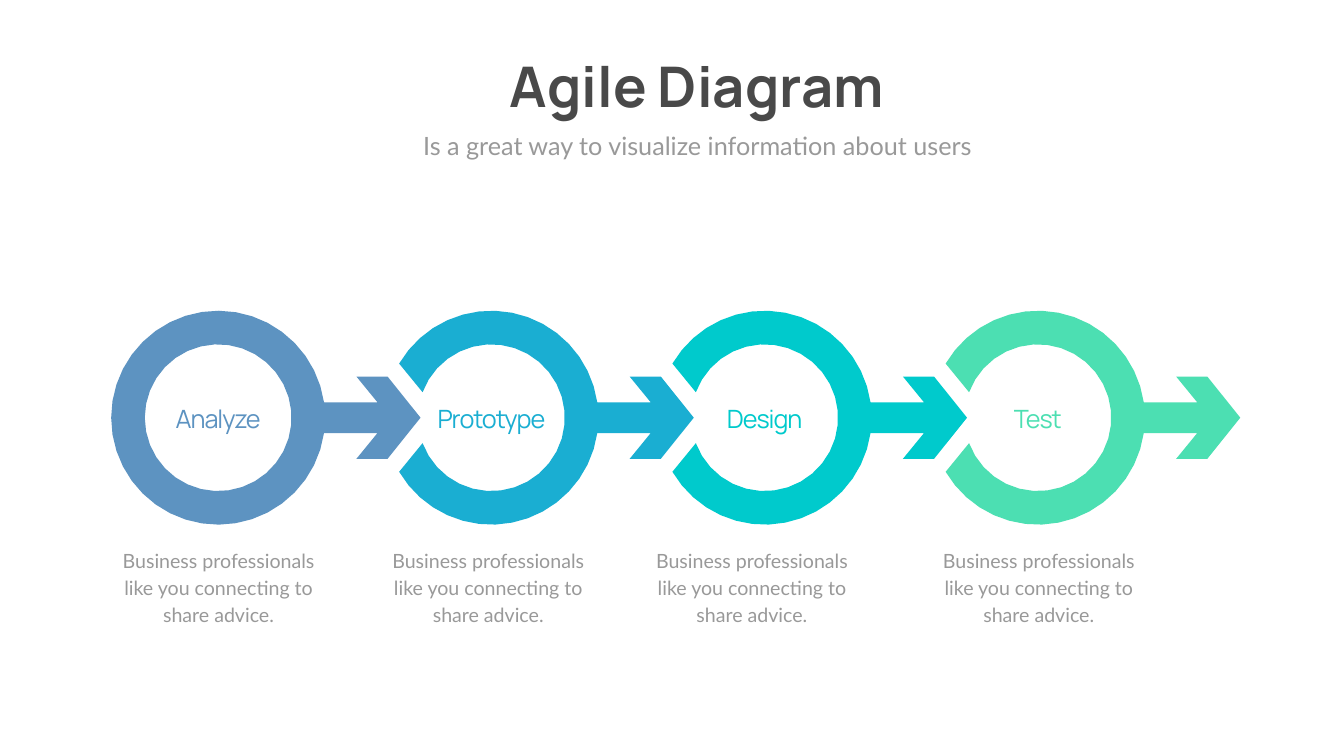
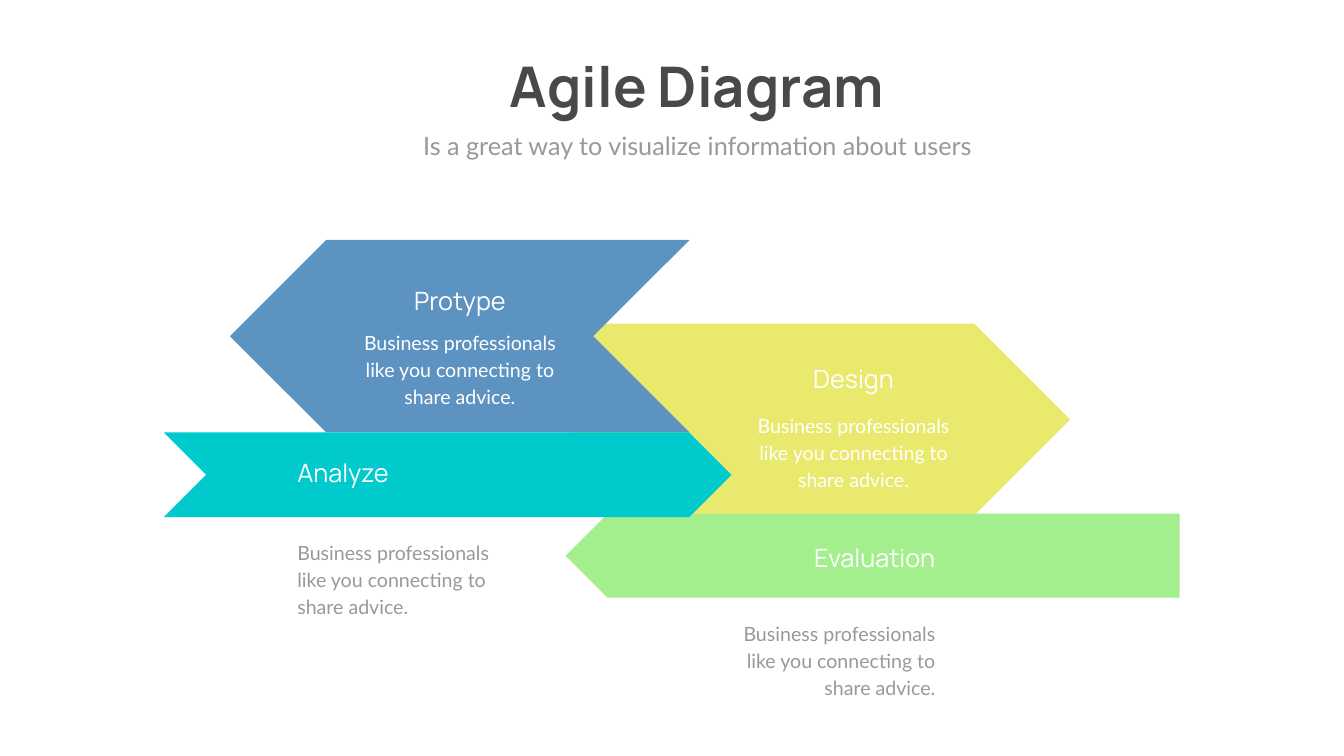
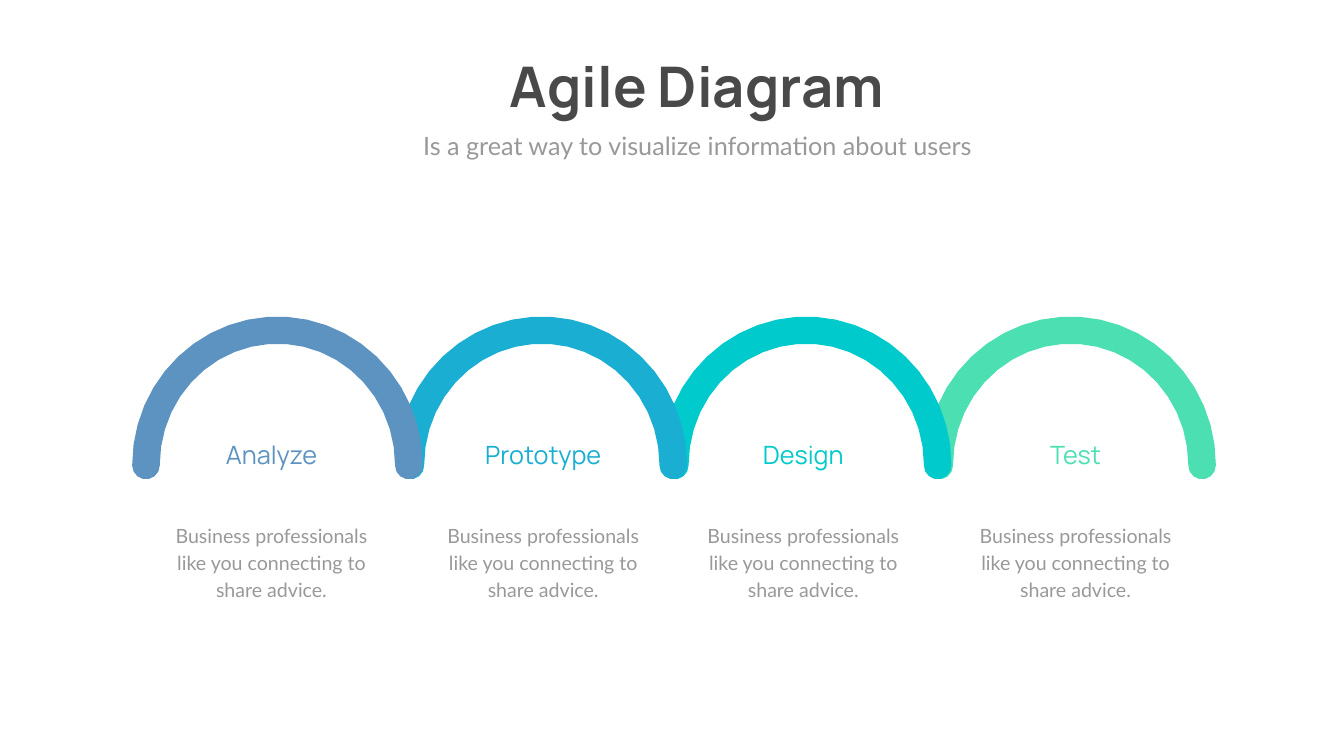
from math import acos, asin, ceil, cos, degrees, radians, sin

from pptx import Presentation
from pptx.dml.color import RGBColor
from pptx.enum.shapes import MSO_SHAPE
from pptx.enum.text import MSO_ANCHOR, MSO_AUTO_SIZE, PP_ALIGN
from pptx.util import Pt

BLUE = RGBColor(0x5D, 0x93, 0xC1)
SKY = RGBColor(0x1A, 0xAE, 0xD2)
TEAL = RGBColor(0x00, 0xCA, 0xCC)
MINT = RGBColor(0x4C, 0xDF, 0xB2)
YELLOW = RGBColor(0xE8, 0xE9, 0x6D)
GREEN = RGBColor(0xA4, 0xEF, 0x8D)
DARK = RGBColor(0x49, 0x49, 0x49)
GREY = RGBColor(0x99, 0x99, 0x99)
WHITE = RGBColor(0xFF, 0xFF, 0xFF)
HEADING_FONT, BODY_FONT = "Manrope", "Lato"
LEFT, CENTER, RIGHT = PP_ALIGN.LEFT, PP_ALIGN.CENTER, PP_ALIGN.RIGHT

TITLE = "Agile Diagram"
SUBTITLE = "Is a great way to visualize information about users"
CAPTION = "Business professionals like you connecting to share advice."
STEPS = [("Analyze", BLUE), ("Prototype", SKY), ("Design", TEAL), ("Test", MINT)]

# Middle of each step's text, from left to right
RING_CAPTIONS = [312.1, 697.3, 1073.9, 1483.6]
ARCH_CAPTIONS = [387.7, 775.8, 1147.3, 1536.1]

# Preset, left, top, width, height, rotation, colour; from back to front
BANDS = [
    (MSO_SHAPE.PENTAGON, 817.9, 462.2, 710.6, 274.3, 0, YELLOW),
    (MSO_SHAPE.CHEVRON, 328.3, 342.7, 656.6, 275, 180, BLUE),
    (MSO_SHAPE.PENTAGON, 807.8, 733.7, 877, 120.2, 180, GREEN),
    (MSO_SHAPE.CHEVRON, 234, 617.8, 810.7, 121, 0, TEAL),
]
# Heading, alignment, anchor x, heading top, caption top, caption colour
BAND_TEXTS = [
    ("Protype", CENTER, 656.8, 403.9, 464.4, WHITE),
    ("Design", CENTER, 1219, 515.5, 583.2, WHITE),
    ("Analyze", LEFT, 417.6, 649.4, 764.6, GREY),
    ("Evaluation", RIGHT, 1342.8, 771.8, 879.8, GREY),
]

RING_X, RING_Y, RING_PITCH = 311.6, 596.7, 390.25
RING_OUTER, RING_INNER = 152.8, 104.8
OUTER_GAP, INNER_GAP = 30.4, 20.3     # degrees on each side of the left point
SHAFT = 22                            # half the arrow shaft's height
ARROW = [(227.5, -SHAFT), (197.5, -58.7), (242, -58.7), (289, 0),
         (242, 58.7), (197.5, 58.7), (227.5, SHAFT)]

ARCH_X, ARCH_Y, ARCH_PITCH = 396.2, 664, 377.65
ARCH_OUTER, ARCH_INNER = (207.4, 211.8), (168, 173)
CAP_DROP = 1
FLATNESS = 0.5                        # most a chord may stray from its arc


def style(frame, text, font_name, size, color, align, bold=False):
    frame.word_wrap = True
    frame.auto_size = MSO_AUTO_SIZE.SHAPE_TO_FIT_TEXT
    frame.vertical_anchor = MSO_ANCHOR.TOP
    frame.text = text
    paragraph = frame.paragraphs[0]
    paragraph.alignment = align
    paragraph.space_before = Pt(0)
    font = paragraph.font
    font.name, font.size, font.bold = font_name, Pt(size), bold
    font.color.rgb = color
    return paragraph


def place(shape, left, top, width, height):
    shape.left, shape.top = Pt(left), Pt(top)
    shape.width, shape.height = Pt(width), Pt(height)


def add_text(slide, anchor, top, width, height, align, *look):
    """Add a text box whose left, middle or right lies at anchor, as align says."""
    left = anchor - width * {LEFT: 0, CENTER: 0.5, RIGHT: 1}[align]
    box = slide.shapes.add_textbox(Pt(left), Pt(top), Pt(width), Pt(height))
    return style(box.text_frame, *look, align)


def add_heading(slide, text, anchor, top, color, align=CENTER, spacing=None):
    heading = add_text(slide, anchor, top, 268.6 if align == RIGHT else 203, 51.1,
                       align, text, HEADING_FONT, 36, color)
    if spacing:
        heading.runs[0]._r.get_or_add_rPr().set("spc", str(round(spacing * 100)))


def add_caption(slide, anchor, top, color=GREY, align=CENTER):
    caption = add_text(slide, anchor, top, 297.4, 121.7, align,
                       CAPTION, BODY_FONT, 28, color)
    caption.line_spacing = Pt(38.6)


def add_slide(prs):
    slide = prs.slides.add_slide(prs.slide_layouts[0])
    title, subtitle = slide.placeholders
    place(title, 558.7, 70.6, 873.4, 104.4)
    style(title.text_frame, TITLE, HEADING_FONT, 80, DARK, CENTER, True)
    place(subtitle, 522, 182.9, 948.2, 51.1)
    style(subtitle.text_frame, SUBTITLE, BODY_FONT, 36, GREY, CENTER)
    return slide


def paint(shape, color):
    shape.shadow.inherit = False
    shape.fill.solid()
    shape.fill.fore_color.rgb = color
    shape.line.fill.background()


def arc(start, end, rx, ry=None, dx=0, dy=0):
    """Points of an elliptical arc; degrees run clockwise from the right."""
    ry = ry or rx
    step = degrees(2 * acos(1 - FLATNESS / rx))
    count = ceil(abs(end - start) / step)
    angles = [radians(start + (end - start) * i / count) for i in range(count + 1)]
    return [(dx + rx * cos(a), dy + ry * sin(a)) for a in angles]


def add_outline(slide, x, y, contours, color):
    """Draw closed contours, given as points around (x, y), as one shape."""
    contours = [[(Pt(x + dx), Pt(y + dy)) for dx, dy in points] for points in contours]
    builder = slide.shapes.build_freeform(*contours[0][0])
    for i, points in enumerate(contours):
        if i:
            builder.move_to(*points[0])
        builder.add_line_segments(points[1:], close=True)
    paint(builder.convert_to_shape(), color)


def ring_contours(is_open):
    shaft_angle = degrees(asin(SHAFT / RING_OUTER))
    gap = OUTER_GAP if is_open else 0
    outer = (arc(180 + gap, 360 - shaft_angle, RING_OUTER) + ARROW
             + arc(shaft_angle, 180 - gap, RING_OUTER))
    if is_open:
        return [outer + arc(180 - INNER_GAP, INNER_GAP - 180, RING_INNER)]
    return [outer, arc(180, -180, RING_INNER)]


def arch_contour():
    cap = (ARCH_OUTER[0] - ARCH_INNER[0]) / 2
    cap_x = ARCH_INNER[0] + cap
    return (arc(180, 360, *ARCH_OUTER) + arc(0, 180, cap, dx=cap_x, dy=CAP_DROP)
            + arc(360, 180, *ARCH_INNER) + arc(0, 180, cap, dx=-cap_x, dy=CAP_DROP))


def build_rings(slide):
    for i, (_, color) in reversed(list(enumerate(STEPS))):
        add_outline(slide, RING_X + i * RING_PITCH, RING_Y, ring_contours(i > 0), color)
    for i, (step, color) in enumerate(STEPS):
        add_heading(slide, step, RING_X + i * RING_PITCH, 572.4, color, spacing=-1.5)
        add_caption(slide, RING_CAPTIONS[i], 775.4)


def build_bands(slide):
    for preset, left, top, width, height, rotation, color in BANDS:
        band = slide.shapes.add_shape(preset, Pt(left), Pt(top), Pt(width), Pt(height))
        band.rotation = rotation
        paint(band, color)
    for heading, align, anchor, heading_top, caption_top, color in BAND_TEXTS:
        add_heading(slide, heading, anchor, heading_top, WHITE, align)
        add_caption(slide, anchor, caption_top, color, align)


def build_arches(slide):
    for i, (_, color) in reversed(list(enumerate(STEPS))):
        add_outline(slide, ARCH_X + i * ARCH_PITCH, ARCH_Y, [arch_contour()], color)
    for (step, color), middle in zip(STEPS, ARCH_CAPTIONS):
        add_heading(slide, step, middle, 623.5, color)
        add_caption(slide, middle, 739.4)


def main():
    prs = Presentation()
    prs.slide_width, prs.slide_height = Pt(1919.52), Pt(1080)
    for build in (build_rings, build_bands, build_arches):
        build(add_slide(prs))
    prs.save("out.pptx")


if __name__ == "__main__":
    main()
